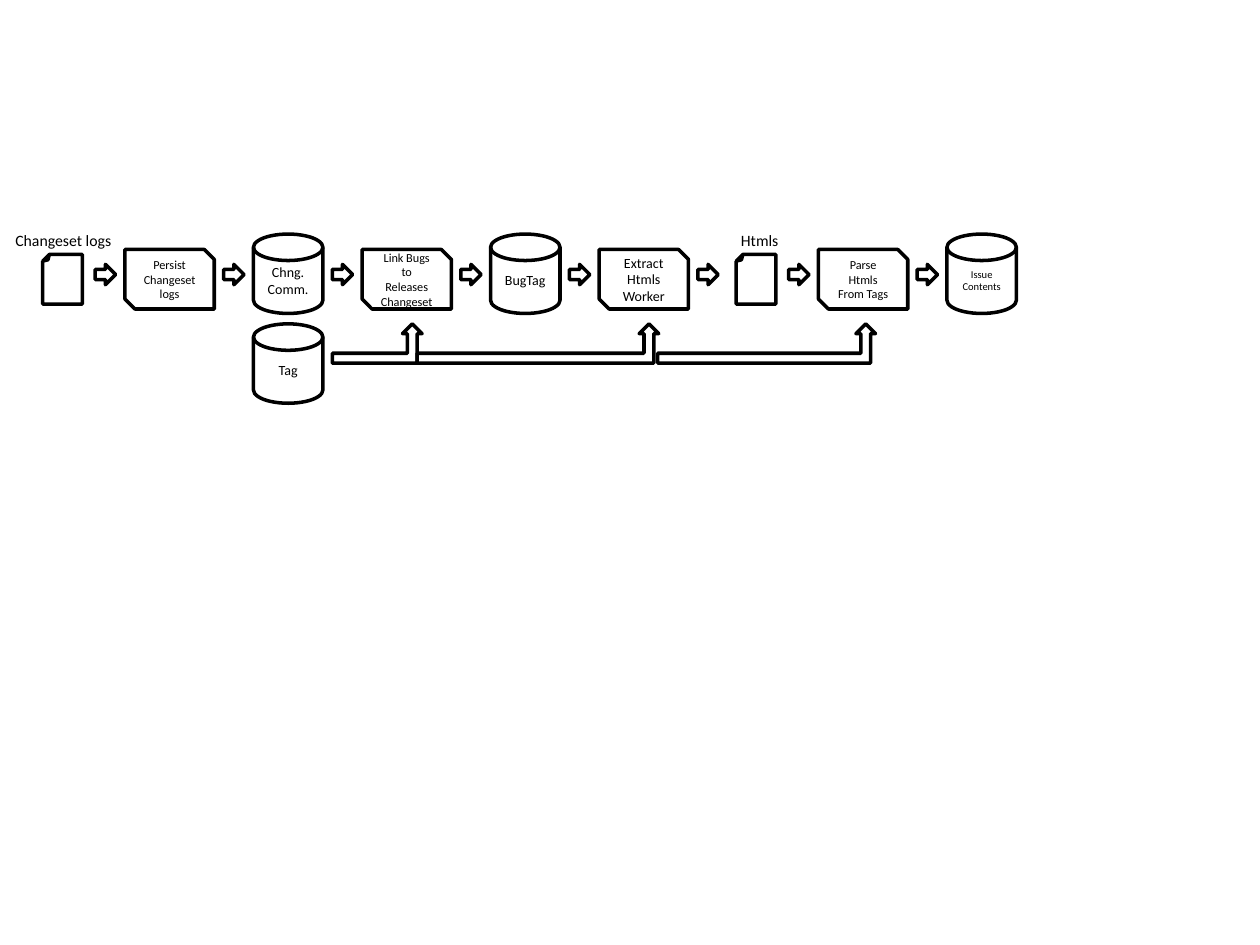
from dataclasses import dataclass

from pptx import Presentation
from pptx.dml.color import RGBColor
from pptx.enum.shapes import MSO_SHAPE
from pptx.enum.text import MSO_ANCHOR, PP_ALIGN
from pptx.util import Cm, Pt


@dataclass(frozen=True)
class Theme:
    """Colours, font and type sizes of the diagram."""
    ink: RGBColor = RGBColor(0, 0, 0)
    paper: RGBColor = RGBColor(255, 255, 255)
    font: str = "Calibri"
    outline: int = 2
    label: int = 9
    large: int = 8
    medium: int = 7
    small: int = 6


THEME = Theme()
GAP = 0.19
FLOW_LEFT = 0.69
LOWER_TOP = 6.53

KINDS = {
    "page": {"shape": MSO_SHAPE.FOLDED_CORNER, "top": 5.13, "size": (0.8, 1.0),
             "slot": 1.04, "offset": 0.17, "rotation": 180},
    "process": {"shape": MSO_SHAPE.SNIP_2_DIAG_RECTANGLE, "top": 5.03, "size": (1.8, 1.2)},
    "store": {"shape": MSO_SHAPE.FLOWCHART_MAGNETIC_DISK, "top": 4.72, "size": (1.4, 1.6)},
    "arrow": {"shape": MSO_SHAPE.RIGHT_ARROW, "top": 5.33, "size": (0.41, 0.41)},
}

STAGES = [
    ("page", [], THEME.large),
    ("process", ["Persist Changeset logs"], THEME.medium),
    ("store", ["Chng.", "Comm."], THEME.large),
    ("process", ["Link Bugs to Releases Changeset"], THEME.medium),
    ("store", ["BugTag"], THEME.large),
    ("process", ["Extract Htmls", "Worker"], THEME.large),
    ("page", [], THEME.large),
    ("process", ["Parse Htmls From Tags"], THEME.medium),
    ("store", ["Issue Contents"], THEME.small),
]

BENDS = [(6.7, 8.51), (8.41, 13.28), (13.26, 17.65)]

LABELS = [
    ("Changeset logs", 0.05, 4.52, PP_ALIGN.RIGHT),
    ("Htmls", 14.22, 4.52, PP_ALIGN.CENTER),
]


def write_text(shape, lines, size, alignment=PP_ALIGN.CENTER):
    """Write one paragraph per line in the theme font."""
    frame = shape.text_frame
    frame.word_wrap = True
    frame.text = "\n".join(lines)
    font_format = {"name": THEME.font, "size": Pt(size)}
    for paragraph in frame.paragraphs:
        paragraph.alignment = alignment
        for name, value in font_format.items():
            setattr(paragraph.font, name, value)
        paragraph.font.color.rgb = THEME.ink


def add_outlined(slide, preset, left, top, width, height):
    """Add a white preset shape with a black outline."""
    shape = slide.shapes.add_shape(preset, Cm(left), Cm(top), Cm(width), Cm(height))
    shape.shadow.inherit = False
    shape.fill.solid()
    shape.fill.fore_color.rgb = THEME.paper
    shape.line.color.rgb = THEME.ink
    shape.line.width = Pt(THEME.outline)
    return shape


def add_node(slide, kind, left, lines=(), size=THEME.large, top=None):
    """Add a flow element and return the right end of its slot."""
    node = KINDS[kind]
    width, height = node["size"]
    shape = add_outlined(slide, node["shape"], left + node.get("offset", 0),
                         node["top"] if top is None else top, width, height)
    shape.rotation = node.get("rotation", 0)
    if lines:
        shape.text_frame.vertical_anchor = MSO_ANCHOR.MIDDLE
        write_text(shape, lines, size)
    return left + node.get("slot", width)


def add_flow(slide):
    """Add the stages from left to right with an arrow between neighbours."""
    left = FLOW_LEFT
    for index, (kind, lines, size) in enumerate(STAGES):
        if index:
            left = add_node(slide, "arrow", left + GAP) + GAP
        left = add_node(slide, kind, left, lines, size)


def add_tag_links(slide):
    """Add the tag store and the bent arrows leading up to the processes."""
    add_node(slide, "store", 5.11, ["Tag"], top=LOWER_TOP)
    for left, right in BENDS:
        add_outlined(slide, MSO_SHAPE.BENT_UP_ARROW, left, LOWER_TOP, right - left, 0.79)


def add_label(slide, text, left, top, alignment):
    """Add a caption without side margins above a page."""
    box = slide.shapes.add_textbox(Cm(left), Cm(top), Cm(2.19), Cm(0.64))
    for name, value in {"margin_left": 0, "margin_right": 0}.items():
        setattr(box.text_frame, name, value)
    write_text(box, [text], THEME.label, alignment)


def main():
    """Build the slide and save it."""
    presentation = Presentation()
    presentation.slide_width, presentation.slide_height = Cm(25.4), Cm(19.05)
    slide = presentation.slides.add_slide(presentation.slide_layouts[6])
    add_flow(slide)
    add_tag_links(slide)
    for label in LABELS:
        add_label(slide, *label)
    presentation.save("out.pptx")


main()
